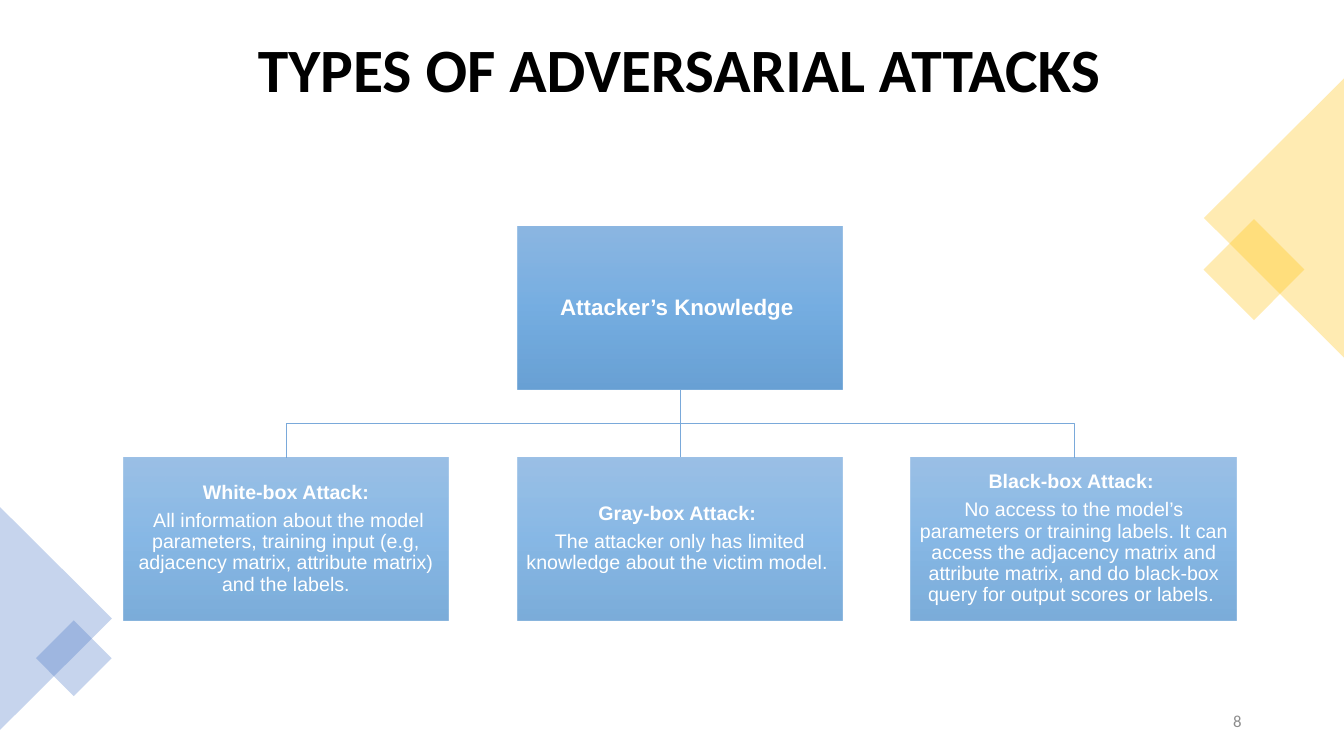
from lxml import etree
from pptx import Presentation
from pptx.dml.color import RGBColor
from pptx.enum.shapes import MSO_CONNECTOR, MSO_SHAPE
from pptx.enum.text import MSO_ANCHOR, PP_ALIGN
from pptx.oxml.ns import qn
from pptx.util import Pt

RECT, TRIANGLE = MSO_SHAPE.RECTANGLE, MSO_SHAPE.ISOSCELES_TRIANGLE
STRAIGHT = MSO_CONNECTOR.STRAIGHT
TOP, MIDDLE = MSO_ANCHOR.TOP, MSO_ANCHOR.MIDDLE
CENTER, RIGHT = PP_ALIGN.CENTER, PP_ALIGN.RIGHT

BLACK = RGBColor(0x00, 0x00, 0x00)
WHITE = RGBColor(0xFF, 0xFF, 0xFF)
GRAY = RGBColor(0x8C, 0x8C, 0x8C)
GOLD = RGBColor(0xFF, 0xC0, 0x00)
BLUE = RGBColor(0x44, 0x72, 0xC4)
LINE_BLUE = RGBColor(0x7A, 0xA9, 0xDA)
GRADIENT = [
    (0, RGBColor(0x71, 0xA6, 0xDB)),
    (50, RGBColor(0x55, 0x9B, 0xDB)),
    (100, RGBColor(0x44, 0x8A, 0xCA)),
]

# Content: a paragraph is a list of (text, bold) runs
TITLE = "TYPES OF ADVERSARIAL ATTACKS"
PAGE = "8"
ROOT = [[("Attacker’s Knowledge ", True)]]
ATTACKS = [
    [[("White-box Attack:", True)],
     [(" ", True), ("All information about the model parameters, training input "
                    "(e.g, adjacency matrix, attribute matrix) and the labels.", False)]],
    [[("Gray-box Attack: ", True)],
     [("The attacker only has limited knowledge about the victim model. ", False)]],
    [[("Black-box Attack: ", True)],
     [("No access to the model’s parameters or training labels. It can access the "
       "adjacency matrix and attribute matrix, and do black-box query for output "
       "scores or labels. ", False)]],
]
# Corner decoration: shape, centre x, centre y, width, height, rotation, colour
DECOR = [
    (RECT, 895.7, 192.6, 51, 51, 45, GOLD),
    (TRIANGLE, 910, 155.7, 199.4, 100, 270, GOLD),
    (TRIANGLE, 40, 441.8, 159.2, 80, 90, BLUE),
    (RECT, 52.7, 470.2, 38.2, 38.2, 45, BLUE),
]

# Tree geometry
BOX_W, BOX_H = 232.6, 116.2
LEFT, STEP = 88, 281.4
ROOT_TOP, CHILD_TOP = 162, 326.8
ROOT_BOTTOM = ROOT_TOP + BOX_H
BUS_Y = (ROOT_BOTTOM + CHILD_TOP) / 2
ROOT_X = LEFT + STEP + BOX_W / 2

prs = Presentation()
prs.slide_width, prs.slide_height = Pt(960), Pt(540)
slide = prs.slides.add_slide(prs.slide_layouts[6])
shapes = slide.shapes


def write(sp, paragraphs, size, color, font="Arial", align=CENTER, anchor=MIDDLE,
          margin=None, spacing=None, after=0):
    tf = sp.text_frame
    tf.word_wrap = True
    tf.vertical_anchor = anchor
    if margin is not None:
        tf.margin_left = tf.margin_right = tf.margin_top = tf.margin_bottom = Pt(margin)
    for i, runs in enumerate(paragraphs):
        p = tf.add_paragraph() if i else tf.paragraphs[0]
        p.alignment = align
        p.line_spacing = spacing
        p.space_after = Pt(after)
        for text, bold in runs:
            r = p.add_run()
            r.text = text
            r.font.name, r.font.size, r.font.bold = font, Pt(size), bold
            r.font.color.rgb = color


def set_alpha(clr, percent):
    etree.SubElement(clr, qn("a:alpha")).set("val", str(percent * 1000))


def add_box(x, y, paragraphs, size, opacity):
    sp = shapes.add_shape(RECT, Pt(x), Pt(y), Pt(BOX_W), Pt(BOX_H))
    sp.shadow.inherit = False
    sp.line.fill.background()
    sp.fill.gradient()
    sp.fill.gradient_angle = 270
    stops = sp.fill._fill._gradFill.find(qn("a:gsLst"))
    for stop in list(stops):
        stops.remove(stop)
    for pos, color in GRADIENT:
        stop = etree.SubElement(stops, qn("a:gs"))
        stop.set("pos", str(pos * 1000))
        clr = etree.SubElement(stop, qn("a:srgbClr"))
        clr.set("val", str(color))
        set_alpha(clr, opacity)
    write(sp, paragraphs, size, WHITE, margin=0.7, spacing=0.9, after=0.35 * size)
    return sp


def style_line(sp):
    sp.line.color.rgb = LINE_BLUE
    sp.line.width = Pt(0.5)


# Corner decoration
for kind, cx, cy, w, h, angle, color in DECOR:
    sp = shapes.add_shape(kind, Pt(cx - w / 2), Pt(cy - h / 2), Pt(w), Pt(h))
    sp.rotation = angle
    sp.shadow.inherit = False
    sp.line.fill.background()
    sp.fill.solid()
    sp.fill.fore_color.rgb = color
    set_alpha(sp.fill._xPr.find(qn("a:solidFill"))[0], 30)

# Title
title = shapes.add_textbox(Pt(39.6), Pt(18.7), Pt(891.4), Pt(60.5))
write(title, [[(TITLE, True)]], 44, BLACK, font="Calibri", anchor=TOP)

# Elbow branches to the outer boxes
for i in (2, 0):
    child_x = LEFT + i * STEP + BOX_W / 2
    fb = shapes.build_freeform(Pt(ROOT_X), Pt(ROOT_BOTTOM))
    fb.add_line_segments([(Pt(ROOT_X), Pt(BUS_Y)), (Pt(child_x), Pt(BUS_Y)),
                          (Pt(child_x), Pt(CHILD_TOP))], close=False)
    branch = fb.convert_to_shape()
    branch.shadow.inherit = False
    branch.fill.background()
    style_line(branch)

# Boxes
root = add_box(LEFT + STEP, ROOT_TOP, ROOT, 16, 80)
children = [add_box(LEFT + i * STEP, CHILD_TOP, paragraphs, 14, 70)
            for i, paragraphs in enumerate(ATTACKS)]

# Straight branch to the middle box
stem = shapes.add_connector(STRAIGHT, Pt(ROOT_X), Pt(ROOT_BOTTOM), Pt(ROOT_X), Pt(CHILD_TOP))
stem.begin_connect(root, 2)
stem.end_connect(children[1], 0)
style_line(stem)
etree.SubElement(stem._element.spPr, qn("a:effectLst"))

# Page number
number = shapes.add_textbox(Pt(678), Pt(500.5), Pt(216), Pt(28.8))
write(number, [[(PAGE, False)]], 12, GRAY, font="Calibri", align=RIGHT)

prs.save("out.pptx")
